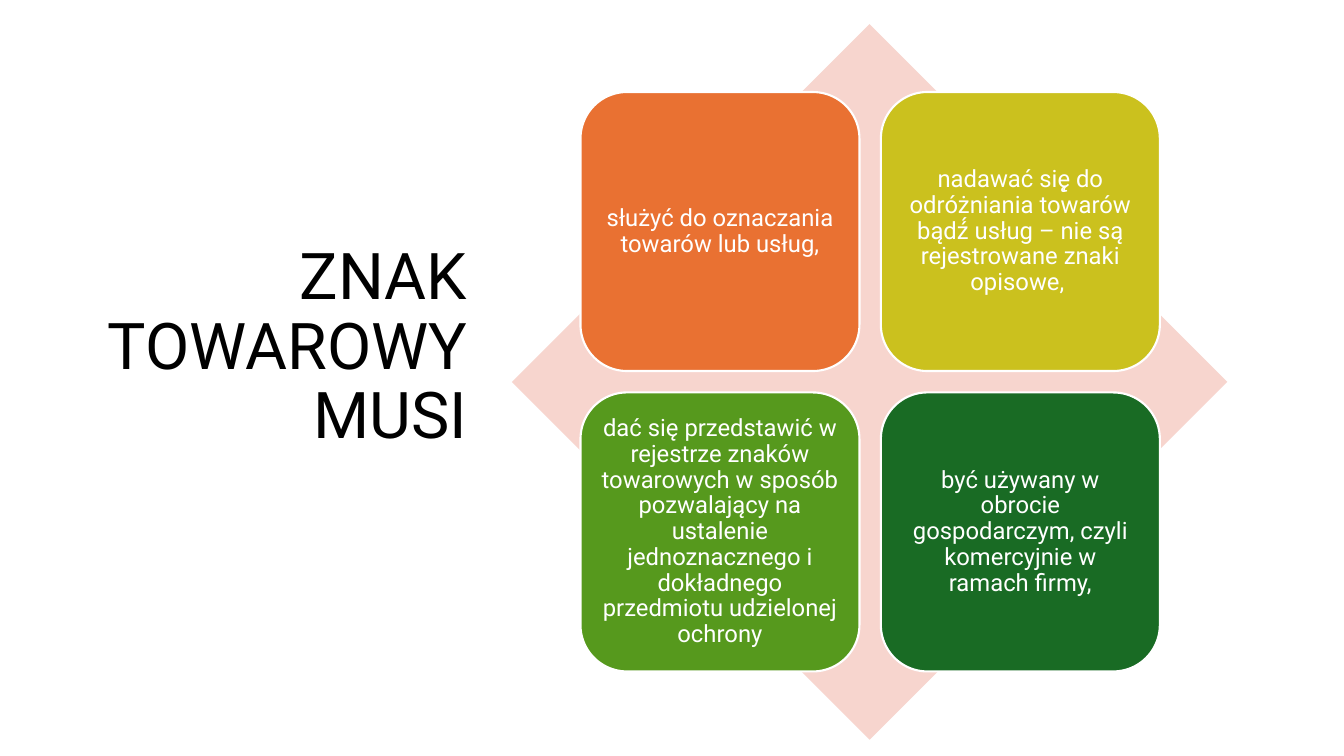
from pptx import Presentation
from pptx.dml.color import RGBColor
from pptx.enum.shapes import MSO_SHAPE as Shape
from pptx.enum.text import MSO_ANCHOR as Anchor, PP_ALIGN as Align
from pptx.util import Cm, Pt


def color(code):
    return RGBColor.from_string(code)


def write(shape, text, size, ink, align, inset):
    frame = shape.text_frame
    frame.word_wrap = True
    frame.vertical_anchor = Anchor.MIDDLE
    frame.margin_left = frame.margin_right = Cm(inset)
    frame.margin_top = frame.margin_bottom = Cm(0.18)
    par = frame.paragraphs[0]
    par.alignment = align
    par.line_spacing = 0.9
    run = par.add_run()
    run.text = text
    run.font.name = "Roboto"
    run.font.size = Pt(size)
    run.font.color.rgb = color(ink)


deck = Presentation()
deck.slide_width, deck.slide_height = Cm(33.87), Cm(19.05)
slide = deck.slides.add_slide(deck.slide_layouts[6])
shapes = slide.shapes

# Title
title = shapes.add_textbox(Cm(1.78), Cm(1.75), Cm(10.24), Cm(14.05))
write(title, "ZNAK TOWAROWY MUSI", size=46, ink="000000",
      align=Align.RIGHT, inset=0.25)

# Diamond behind the tiles
back = shapes.add_shape(Shape.DIAMOND, Cm(12.9), Cm(0.61), Cm(18.03), Cm(18.03))
back.shadow.inherit = False
back.fill.solid()
back.fill.fore_color.rgb = color("F7D5CE")
back.line.fill.background()

# Two by two tiles, row by row
tiles = [
    ("E97132", "służyć do oznaczania towarów lub usług,"),
    ("CBC11E", "nadawać się̨ do odróżniania towarów bądź́ usług – nie są "
               "rejestrowane znaki opisowe, "),
    ("56991D", "dać się przedstawić w rejestrze znaków towarowych w sposób "
               "pozwalający na ustalenie jednoznacznego i dokładnego "
               "przedmiotu udzielonej ochrony"),
    ("196B24", "być używany w obrocie gospodarczym, czyli komercyjnie w "
               "ramach firmy,"),
]
left, top, side, step = 14.63, 2.32, 7.03, 7.57
for i, (fill, text) in enumerate(tiles):
    row, col = divmod(i, 2)
    tile = shapes.add_shape(Shape.ROUNDED_RECTANGLE, Cm(left + col * step),
                            Cm(top + row * step), Cm(side), Cm(side))
    tile.shadow.inherit = False
    tile.fill.solid()
    tile.fill.fore_color.rgb = color(fill)
    tile.line.color.rgb = color("FFFFFF")
    tile.line.width = Pt(1.5)
    write(tile, text, size=17, ink="FFFFFF", align=Align.CENTER, inset=0.18)

deck.save("out.pptx")
